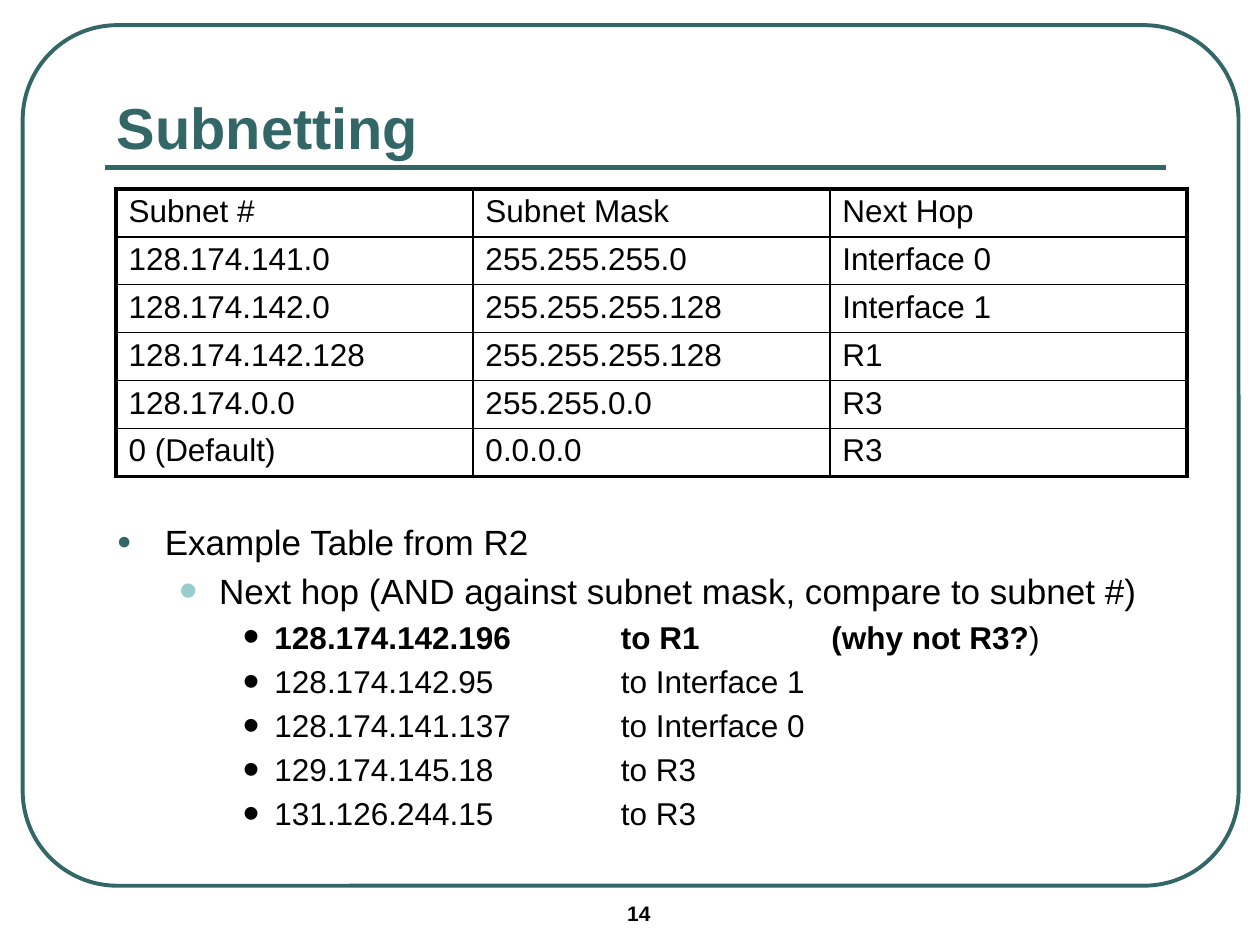
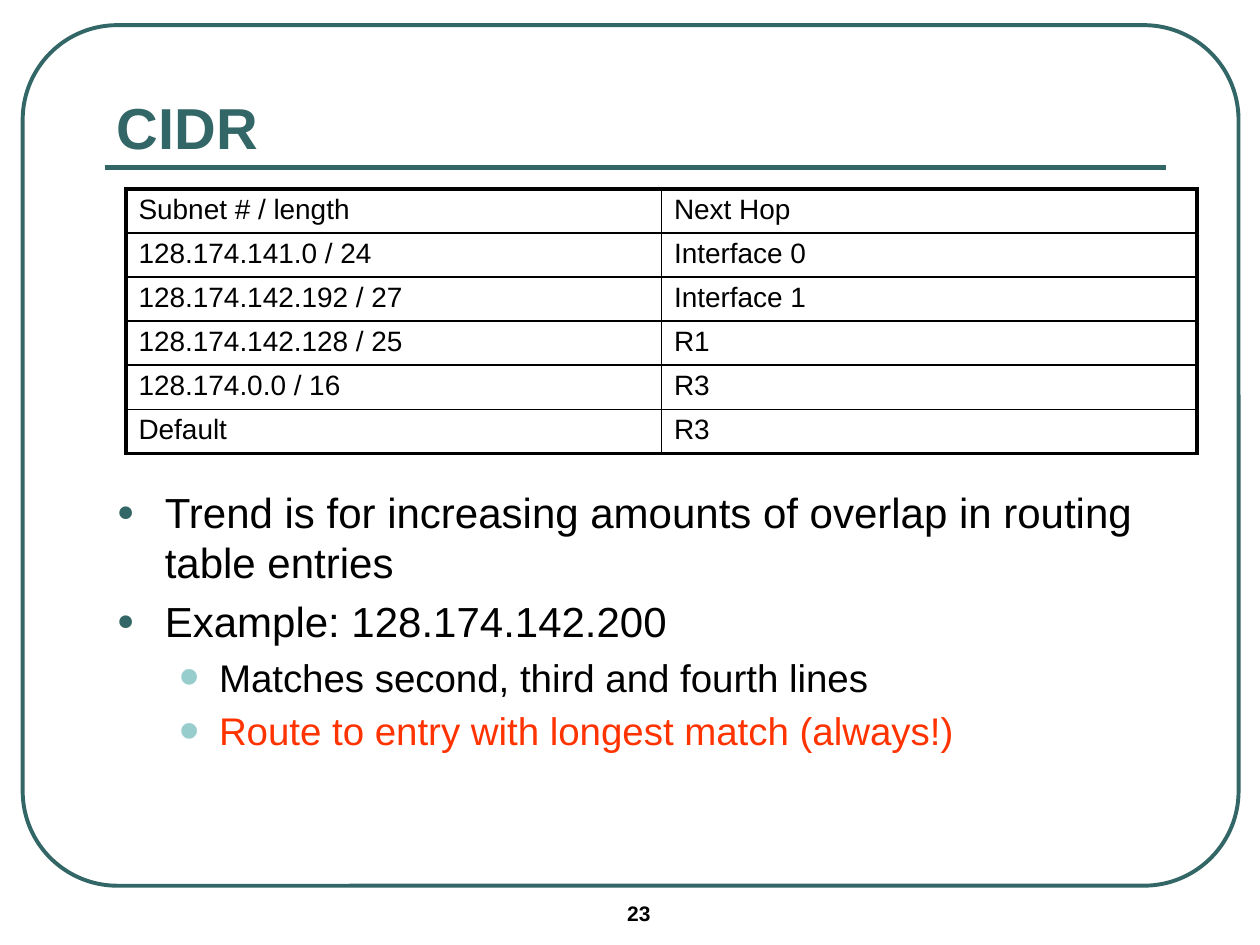
import enum

import lxml.etree
import pptx
import pptx.dml.color
import pptx.enum.shapes
import pptx.enum.text
import pptx.oxml.ns
import pptx.util

Inches = pptx.util.Inches
Pt = pptx.util.Pt
RGB = pptx.dml.color.RGBColor.from_string
qn = pptx.oxml.ns.qn


class Theme(enum.Enum):
    FONT = "Arial"
    TEAL = "336666"
    AQUA = "97CDCC"
    BLACK = "000000"
    WHITE = "FFFFFF"
    RED = "FF3300"
    TITLE_SIZE = 33
    NUMBER_SIZE = 12
    THIN = 1
    FRAME = 2.25
    RULE = 3


BLACK, TEAL = Theme.BLACK.value, Theme.TEAL.value

# Bullet levels: left indent, hanging indent, character, colour, size in percent
LEVELS = [
    (0.38, 0.38, "●", TEAL, 70),
    (0.81, 0.31, "•", Theme.AQUA.value, 150),
    (1.25, 0.25, "•", BLACK, 150),
]
TAB_STOPS = [4.0, 5.67]


def add_text(p, text, size=18, color=BLACK, bold=False):
    r = p.add_run()
    r.text = text
    r.font.name = Theme.FONT.value
    r.font.size = Pt(size)
    r.font.bold = bold
    r.font.color.rgb = RGB(color)


def add_xml(parent, tag, **attributes):
    child = lxml.etree.SubElement(parent, qn(tag))
    for name, value in attributes.items():
        child.set(name, str(value))
    return child


# Bullets are (level, size, [(text, format), ...])
bold = {"bold": True}
slides = [
    {
        "title": "Subnetting", "number": "14",
        "table_left": 0.92, "row_height": 0.38, "cell_size": 18,
        "rows": [
            ("Subnet #", "Subnet Mask", "Next Hop"),
            ("128.174.141.0", "255.255.255.0", "Interface 0"),
            ("128.174.142.0", "255.255.255.128", "Interface 1"),
            ("128.174.142.128", "255.255.255.128", "R1"),
            ("128.174.0.0", "255.255.0.0", "R3"),
            ("0 (Default)", "0.0.0.0", "R3"),
        ],
        "body": (0.83, 4.08, 8.58, 2.78),
        "bullets": [
            (0, 20, [("Example Table from R2", {})]),
            (1, 20, [("Next hop (AND against subnet mask, compare to subnet #)", {})]),
            (2, 18, [("128.174.142.196\tto R1\t(why not R3?", bold), (")", {})]),
            (2, 18, [("128.174.142.95\tto Interface 1", {})]),
            (2, 18, [("128.174.141.137\tto Interface 0", {})]),
            (2, 18, [("129.174.145.18\tto R3", {})]),
            (2, 18, [("131.126.244.15\tto R3", {})]),
        ],
    },
    {
        "title": "CIDR", "number": "23",
        "table_left": 1.0, "row_height": 0.35, "cell_size": 16,
        "rows": [
            ("Subnet # / length", "Next Hop"),
            ("128.174.141.0 / 24", "Interface 0"),
            ("128.174.142.192 / 27", "Interface 1"),
            ("128.174.142.128 / 25", "R1"),
            ("128.174.0.0 / 16", "R3"),
            ("Default", "R3"),
        ],
        "body": (0.83, 3.81, 8.42, 2.69),
        "bullets": [
            (0, 24, [("Trend is for increasing amounts of overlap in routing table entries", {})]),
            (0, 24, [("Example: 128.174.142.200", {})]),
            (1, 22, [("Matches second, third and fourth lines", {})]),
            (1, 22, [("Route to entry with longest match (always!)", {"color": Theme.RED.value})]),
        ],
    },
]

prs = pptx.Presentation()
prs.slide_width, prs.slide_height = Inches(10), Inches(7.5)

for content in slides:
    s = prs.slides.add_slide(prs.slide_layouts[6])
    s.background.fill.solid()
    s.background.fill.fore_color.rgb = RGB(Theme.WHITE.value)

    # Rounded frame
    sp = s.shapes.add_shape(pptx.enum.shapes.MSO_SHAPE.ROUNDED_RECTANGLE,
                            Inches(0.18), Inches(0.2), Inches(9.65), Inches(6.83))
    sp.adjustments[0] = 0.11
    sp.shadow.inherit = False
    sp.fill.background()
    sp.line.color.rgb = RGB(TEAL)
    sp.line.width = Pt(Theme.FRAME.value)

    # Rule under the title
    rule = s.shapes.add_connector(pptx.enum.shapes.MSO_CONNECTOR.STRAIGHT,
                                  Inches(0.83), Inches(1.33), Inches(9.25), Inches(1.33))
    rule.line.color.rgb = RGB(TEAL)
    rule.line.width = Pt(Theme.RULE.value)
    add_xml(rule.element.spPr, "a:effectLst")

    # Slide number, title and body boxes
    frames = []
    for box in [(4.88, 7.1, 1.17, 0.33), (0.83, 0.58, 8.42, 0.75), content["body"]]:
        tf = s.shapes.add_textbox(*map(Inches, box)).text_frame
        tf.word_wrap = True
        frames.append(tf)
    number, title, body = frames
    add_text(number.paragraphs[0], content["number"], size=Theme.NUMBER_SIZE.value, bold=True)
    title.vertical_anchor = pptx.enum.text.MSO_ANCHOR.BOTTOM
    add_text(title.paragraphs[0], content["title"],
             size=Theme.TITLE_SIZE.value, color=TEAL, bold=True)

    # Bulleted body
    for i, (level, size, runs) in enumerate(content["bullets"]):
        p = body.paragraphs[0] if i == 0 else body.add_paragraph()
        p.level = level
        for text, style in runs:
            add_text(p, text, size=size, **style)
        indent, hanging, char, color, percent = LEVELS[level]
        pPr = p._p.get_or_add_pPr()
        pPr.set("marL", str(Inches(indent)))
        pPr.set("indent", str(-Inches(hanging)))
        add_xml(add_xml(pPr, "a:spcBef"), "a:spcPct", val=20000)
        add_xml(add_xml(pPr, "a:buClr"), "a:srgbClr", val=color)
        add_xml(pPr, "a:buSzPct", val=percent * 1000)
        add_xml(pPr, "a:buFont", typeface=Theme.FONT.value)
        add_xml(pPr, "a:buChar", char=char)
        if level == 2:
            tabs = add_xml(pPr, "a:tabLst")
            for stop in TAB_STOPS:
                add_xml(tabs, "a:tab", pos=Inches(stop), algn="l")

    # Routing table, heavy outside and thin inside
    rows = content["rows"]
    n_rows, n_cols = len(rows), len(rows[0])
    table = s.shapes.add_table(n_rows, n_cols, Inches(content["table_left"]), Inches(1.5),
                               Inches(8.5), Inches(content["row_height"] * n_rows)).table
    table.first_row = table.horz_banding = False
    for i, row in enumerate(rows):
        for j, text in enumerate(row):
            cell = table.cell(i, j)
            cell.margin_top = cell.margin_bottom = Inches(0.04)
            add_text(cell.text_frame.paragraphs[0], text, size=content["cell_size"])
            tcPr = cell._tc.get_or_add_tcPr()
            edges = {"a:lnL": j == 0, "a:lnR": j == n_cols - 1,
                     "a:lnT": i == 0, "a:lnB": i == n_rows - 1}
            for tag, outer in edges.items():
                width = Theme.FRAME.value if outer else Theme.THIN.value
                ln = add_xml(tcPr, tag, w=Pt(width))
                add_xml(add_xml(ln, "a:solidFill"), "a:srgbClr", val=BLACK)
            cell.fill.solid()
            cell.fill.fore_color.rgb = RGB(Theme.WHITE.value)

prs.save("out.pptx")
